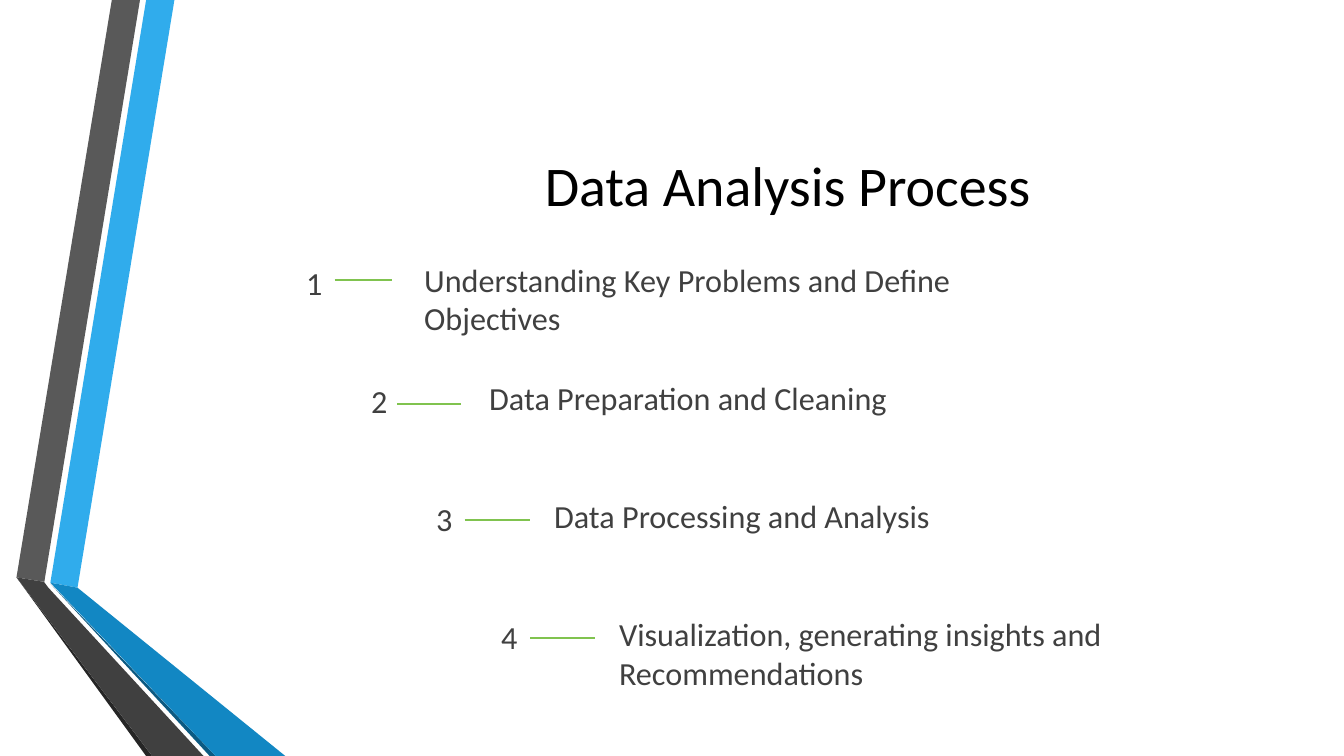
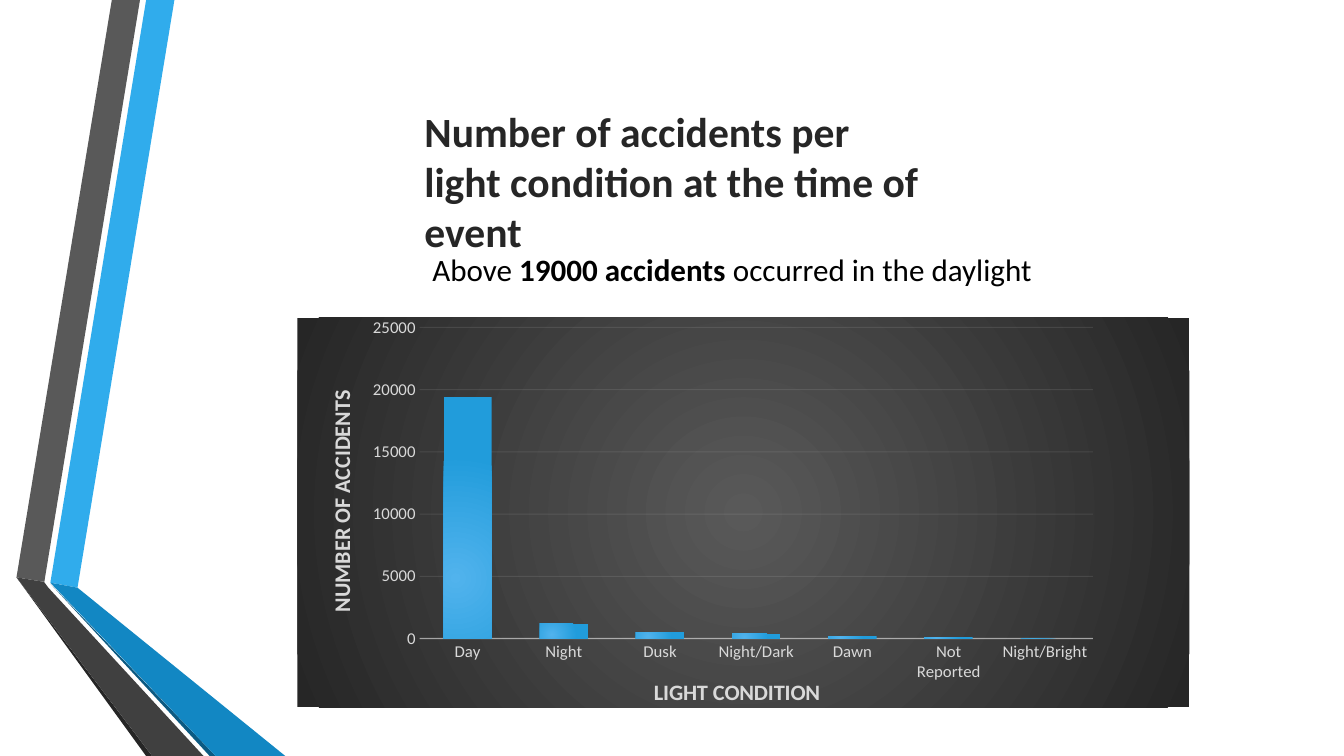
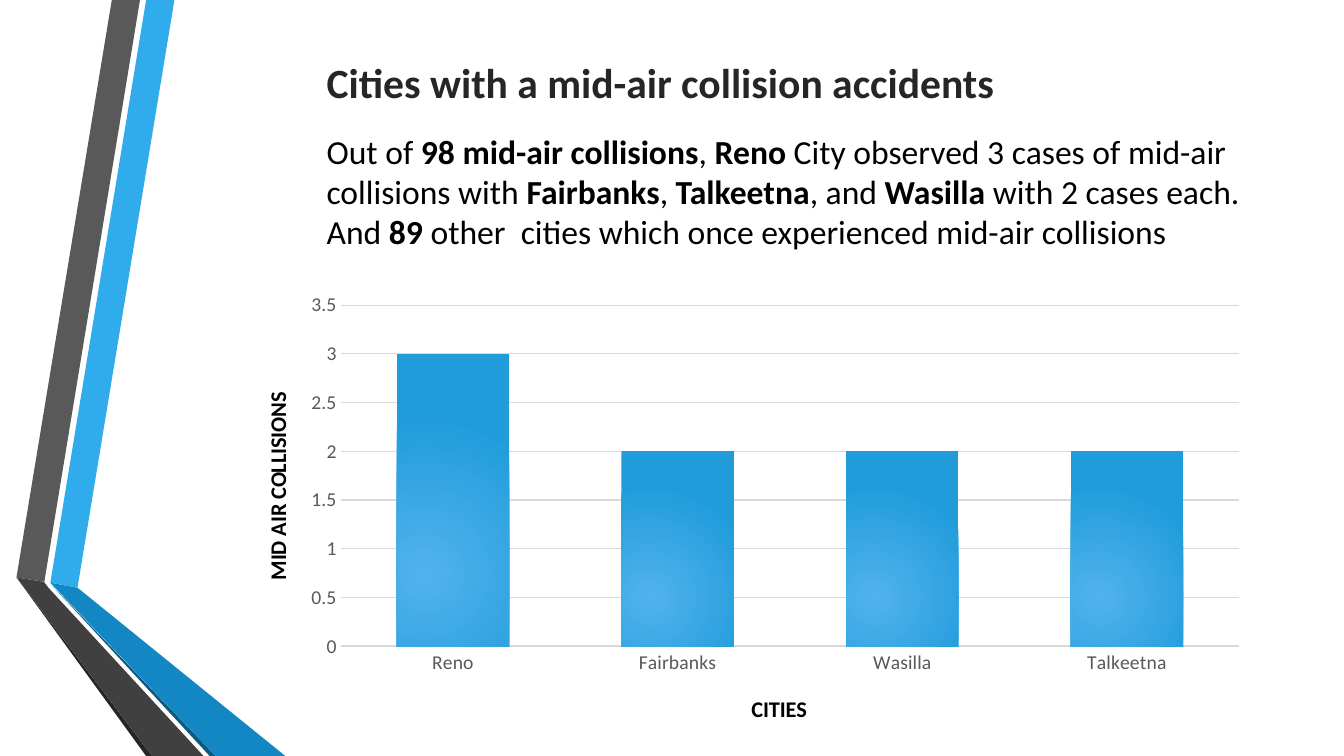
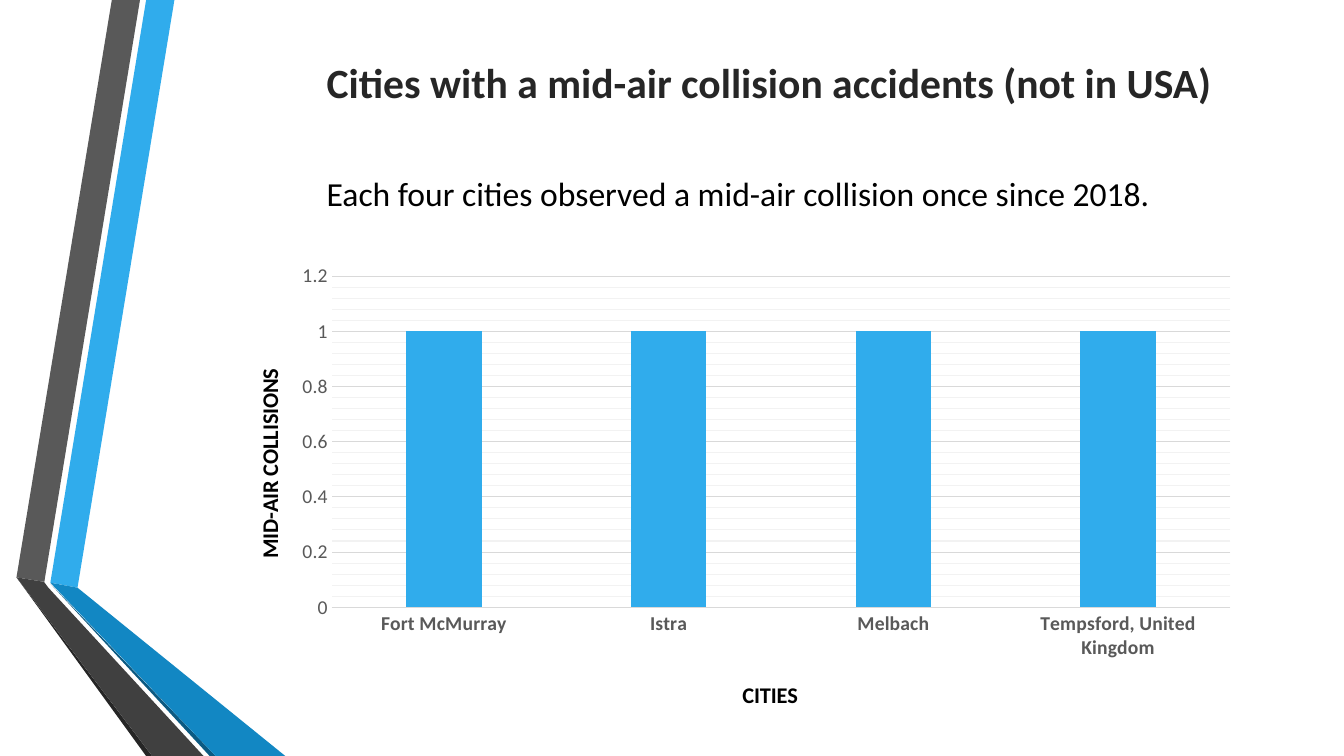
"""Build a four-slide deck on an accident data analysis."""
from dataclasses import dataclass
from typing import NamedTuple, Optional

from lxml import etree
from pptx import Presentation
from pptx.chart.data import CategoryChartData
from pptx.dml.color import RGBColor
from pptx.enum.chart import XL_CHART_TYPE, XL_TICK_MARK
from pptx.enum.shapes import MSO_CONNECTOR
from pptx.enum.text import MSO_ANCHOR, MSO_AUTO_SIZE, PP_ALIGN
from pptx.oxml import parse_xml
from pptx.oxml.ns import nsdecls, qn
from pptx.util import Pt

COLUMNS = XL_CHART_TYPE.COLUMN_CLUSTERED
NO_TICK = XL_TICK_MARK.NONE
STRAIGHT = MSO_CONNECTOR.STRAIGHT
TOP, MIDDLE = MSO_ANCHOR.TOP, MSO_ANCHOR.MIDDLE
LEFT, CENTER = PP_ALIGN.LEFT, PP_ALIGN.CENTER
NO_FIT = MSO_AUTO_SIZE.NONE
CONTENT_LAYOUT, TITLE_LAYOUT = 1, 5


@dataclass(frozen=True)
class Theme:
    """Colours, font and type sizes of the deck."""
    font: str = "Calibri"
    black: str = "000000"
    heading: str = "262626"
    text: str = "404040"
    tick: str = "595959"
    grid: str = "D9D9D9"
    minor_grid: str = "F2F2F2"
    green: str = "80C34F"
    blue: str = "30ACEC"
    deep_blue: str = "1287C3"
    night_blue: str = "0C5A82"
    bar_inner: str = "51B3ED"
    bar_outer: str = "219CDB"
    title_size: float = 40
    heading_size: float = 29.7
    body_size: float = 24
    note_size: float = 22.2
    step_size: float = 23
    axis_title_size: float = 16
    tick_size: float = 14
    small_tick_size: float = 12
    chart_size: float = 10


THEME = Theme()


class Box(NamedTuple):
    """Position and size in points."""
    left: float
    top: float
    width: float
    height: float


class Span(NamedTuple):
    """A stretch of text with one weight."""
    text: str
    bold: bool = False


class Style(NamedTuple):
    """Formatting of a paragraph."""
    size: float
    color: str
    align: PP_ALIGN = LEFT
    before: float = 0
    after: float = 0


class Ribbon(NamedTuple):
    """A filled outline of the side band."""
    color: str
    points: tuple


class Step(NamedTuple):
    """A process step with its dash."""
    text: str
    dash_start: float
    dash_end: float
    dash_top: float


class Gradient(NamedTuple):
    """A circular gradient with its focus in percent."""
    inner: str
    outer: str
    focus: tuple


class AxisTitle(NamedTuple):
    """An axis title with its place in percent of the chart."""
    text: str
    left: float
    top: float


@dataclass(frozen=True)
class ColumnChart:
    """Data and look of a column chart."""
    box: Box
    values: dict
    category_title: AxisTitle
    value_title: AxisTitle
    plot: tuple
    maximum: float
    unit: float
    gap: int = 100
    overlap: int = -24
    fill: Optional[Gradient] = Gradient(THEME.bar_inner, THEME.bar_outer, (50, 100, 100, 50))
    background: Optional[Gradient] = None
    title_color: str = THEME.black
    tick_color: str = THEME.tick
    tick_size: float = THEME.tick_size
    bold_categories: bool = False
    axis_color: str = THEME.grid
    axis_width: float = 1
    axis_alpha: int = 100
    grid_alpha: int = 100
    minor_unit: Optional[float] = None


@dataclass(frozen=True)
class ChartPage:
    """A heading, a remark and a chart."""
    heading: str
    heading_box: Box
    remark: tuple
    remark_box: Box
    remark_size: float
    chart: ColumnChart


RIBBONS = (
    Ribbon(THEME.blue, ((36, 416.2), (55.4, 419.8), (124.6, 0), (104.4, 0))),
    Ribbon(THEME.tick, ((100, 0), (79.9, 0), (11.8, 412.4), (31.7, 415.6))),
    Ribbon(THEME.heading, ((11.8, 412.4), (104.4, 540), (108.7, 540))),
    Ribbon(THEME.night_blue, ((36, 416.9), (149.8, 540), (154.1, 540))),
    Ribbon(THEME.deep_blue, ((36, 416.2), (154.1, 540), (203.8, 540), (55.4, 419.8))),
    Ribbon(THEME.text, ((145.4, 540), (34.6, 419.8), (31.4, 415.6), (11.8, 412.4), (108.7, 540))),
)

STEPS = (
    Step("Understanding Key Problems and Define Objectives", 239, 280.1, 200.2),
    Step("Data Preparation and Cleaning", 283.7, 329, 288.7),
    Step("Data Processing and Analysis", 331.9, 378.7, 371.5),
    Step("Visualization, generating insights and Recommendations", 378.7, 424.8, 455.8),
)

CITY_HEADING = Box(226.1, 37.4, 733.7, 69.1)

CHART_PAGES = (
    ChartPage(
        "Number of accidents per light condition at the time of event",
        Box(295.9, 72, 367.9, 120.2),
        (Span("Above "), Span("19000 accidents ", True), Span("occurred in the daylight")),
        Box(301.7, 175.7, 604.8, 33.1),
        THEME.note_size,
        ColumnChart(
            box=Box(212.4, 226.8, 637.2, 283),
            values={"Day": 19400, "Night": 1200, "Dusk": 500, "Night/Dark": 400,
                    "Dawn": 200, "Not Reported": 100, "Night/Bright": 0},
            category_title=AxisTitle("LIGHT CONDITION", 39.5, 91.4),
            value_title=AxisTitle("NUMBER OF ACCIDENTS", 2.8, 18.6),
            plot=(13.7, 2.5, 75.5, 79.9),
            maximum=25000,
            unit=5000,
            background=Gradient(THEME.tick, THEME.heading, (50, 50, 50, 50)),
            title_color=THEME.grid,
            tick_color=THEME.grid,
            tick_size=THEME.small_tick_size,
            axis_color=THEME.minor_grid,
            axis_alpha=54,
            grid_alpha=10,
        ),
    ),
    ChartPage(
        "Cities with a mid-air collision accidents",
        CITY_HEADING,
        (Span("Out of "), Span("98 mid-air collisions", True), Span(","), Span(" Reno ", True),
         Span("City observed 3 cases of mid-air collisions with "), Span("Fairbanks", True),
         Span(", "), Span("Talkeetna", True), Span(", and "), Span("Wasilla ", True),
         Span("with 2 cases each. And "), Span("89", True),
         Span(" other  cities which once experienced mid-air collisions")),
        Box(226.1, 85.7, 700.6, 101.5),
        THEME.body_size,
        ColumnChart(
            box=Box(167, 202.3, 733.7, 326.2),
            values={"Reno": 3, "Fairbanks": 2, "Wasilla": 2, "Talkeetna": 2},
            category_title=AxisTitle("CITIES", 50, 89.1),
            value_title=AxisTitle("MID AIR COLLISIONS", 2.4, 23),
            plot=(10.4, 4.8, 87.5, 74.7),
            maximum=3.5,
            unit=0.5,
        ),
    ),
    ChartPage(
        "Cities with a mid-air collision accidents (not in USA)",
        CITY_HEADING,
        (Span("Each four cities observed a mid-air collision once since 2018."),),
        Box(226.1, 103, 677.5, 69.1),
        THEME.body_size,
        ColumnChart(
            box=Box(160.6, 181.4, 733.7, 337),
            values={"Fort McMurray": 1, "Istra": 1, "Melbach": 1, "Tempsford, United Kingdom": 1},
            category_title=AxisTitle("CITIES", 50, 89.5),
            value_title=AxisTitle("MID-AIR COLLISIONS", 2.5, 23.5),
            plot=(10.4, 4.7, 87.5, 70.2),
            maximum=1.2,
            unit=0.2,
            gap=199,
            overlap=0,
            fill=None,
            bold_categories=True,
            axis_width=0.75,
            minor_unit=0.04,
        ),
    ),
)


def rgb(color: str) -> RGBColor:
    """Return the colour object of a hex value."""
    return RGBColor.from_string(color)


def lengths(box: Box) -> list:
    """Return the four lengths of a box."""
    return [Pt(value) for value in box]


def set_font(font, size: float, color: str, bold: bool = False) -> None:
    """Set face, size, colour and weight."""
    font.name = THEME.font
    font.size = Pt(size)
    font.bold = bold
    font.color.rgb = rgb(color)


def write(frame, spans: tuple, style: Style, anchor: MSO_ANCHOR = TOP) -> None:
    """Write one paragraph, run by run."""
    frame.word_wrap = True
    frame.auto_size = NO_FIT
    frame.vertical_anchor = anchor
    para = frame.paragraphs[0]
    para.alignment = style.align
    para.space_before = Pt(style.before)
    para.space_after = Pt(style.after)
    for span in spans:
        run = para.add_run()
        run.text = span.text
        set_font(run.font, style.size, style.color, span.bold)


def move(shape, box: Box) -> None:
    """Place a placeholder."""
    shape.left, shape.top, shape.width, shape.height = lengths(box)


def remove_bullets(shape) -> None:
    """Make the paragraphs of a placeholder plain and flush."""
    for properties in shape.element.iter(qn("a:pPr")):
        properties.set("marL", "0")
        properties.set("indent", "0")
        etree.SubElement(properties, qn("a:buNone"))


def add_text(page, box: Box, text: str) -> None:
    """Add a text box of the process list."""
    shape = page.shapes.add_textbox(*lengths(box))
    write(shape.text_frame, (Span(text),), Style(THEME.step_size, THEME.text, before=10))


def add_dash(page, step: Step) -> None:
    """Draw the dash between a number and its step."""
    top = Pt(step.dash_top)
    dash = page.shapes.add_connector(STRAIGHT, Pt(step.dash_start), top, Pt(step.dash_end), top)
    dash.line.color.rgb = rgb(THEME.green)
    dash.line.width = Pt(1.75)
    etree.SubElement(dash.element.spPr, qn("a:effectLst"))


def add_band(deck, page) -> None:
    """Draw the side band and hand it to the slide master."""
    group = page.shapes.add_group_shape()
    for ribbon in RIBBONS:
        start, *others = [(Pt(x), Pt(y)) for x, y in ribbon.points]
        builder = group.shapes.build_freeform(*start)
        builder.add_line_segments(others, close=True)
        shape = builder.convert_to_shape()
        shape.shadow.inherit = False
        shape.fill.solid()
        shape.fill.fore_color.rgb = rgb(ribbon.color)
        shape.line.fill.background()
    for number, properties in enumerate(group.element.iter(qn("p:cNvPr")), start=100):
        properties.set("id", str(number))
    deck.slide_master.placeholders[0].element.addprevious(group.element)


def gradient_fill(gradient: Gradient):
    """Return a circular gradient fill."""
    left, top, right, bottom = [value * 1000 for value in gradient.focus]
    return parse_xml(
        f'<a:gradFill {nsdecls("a")} rotWithShape="1"><a:gsLst>'
        f'<a:gs pos="0"><a:srgbClr val="{gradient.inner}"/></a:gs>'
        f'<a:gs pos="100000"><a:srgbClr val="{gradient.outer}"/></a:gs></a:gsLst>'
        f'<a:path path="circle"><a:fillToRect l="{left}" t="{top}" r="{right}" b="{bottom}"/>'
        '</a:path></a:gradFill>')


def set_layout(parent, place: tuple, inner: bool = False) -> None:
    """Give a chart part a fixed place in percent."""
    target = '<c:layoutTarget val="inner"/>' if inner else ""
    modes = '<c:xMode val="edge"/><c:yMode val="edge"/>'
    values = "".join(f'<c:{key} val="{value / 100:.3f}"/>' for key, value in zip("xywh", place))
    current = parent.find(qn("c:layout"))
    if current is not None:
        parent.remove(current)
    index = 0 if parent.find(qn("c:tx")) is None else 1
    parent.insert(index, parse_xml(
        f'<c:layout {nsdecls("c")}><c:manualLayout>{target}{modes}{values}'
        '</c:manualLayout></c:layout>'))


def set_line(chart_format, color: str, width: float, alpha: int) -> None:
    """Style an axis or grid line."""
    chart_format.line.color.rgb = rgb(color)
    chart_format.line.width = Pt(width)
    if alpha < 100:
        for node in chart_format.element.xpath("c:spPr/a:ln//a:srgbClr"):
            etree.SubElement(node, qn("a:alpha")).set("val", str(alpha * 1000))


def set_axis_title(axis, title: AxisTitle, color: str, upright: bool) -> None:
    """Write and place an axis title."""
    run = axis.axis_title.text_frame.paragraphs[0].add_run()
    run.text = title.text
    set_font(run.font, THEME.axis_title_size, color, True)
    element = axis.axis_title.format.element
    if upright:
        for properties in element.iter(qn("a:bodyPr")):
            properties.set("rot", "-5400000")
            properties.set("vert", "horz")
    set_layout(element, (title.left, title.top))


def style_value_axis(axis, look: ColumnChart) -> None:
    """Set scale and grid of the value axis."""
    axis.minimum_scale = 0
    axis.maximum_scale = look.maximum
    axis.major_unit = look.unit
    axis.format.line.fill.background()
    axis.has_major_gridlines = True
    set_line(axis.major_gridlines.format, look.axis_color, 0.75, look.grid_alpha)
    if look.minor_unit:
        axis.minor_unit = look.minor_unit
        axis.has_minor_gridlines = True
        axis.format.element.find(qn("c:minorGridlines")).append(parse_xml(
            f'<c:spPr {nsdecls("c", "a")}><a:ln w="9525"><a:solidFill>'
            f'<a:srgbClr val="{THEME.minor_grid}"/></a:solidFill></a:ln></c:spPr>'))


def add_columns(page, look: ColumnChart) -> None:
    """Add a column chart."""
    data = CategoryChartData()
    data.categories = list(look.values)
    data.add_series("Series 1", list(look.values.values()))
    chart = page.shapes.add_chart(COLUMNS, *lengths(look.box), data).chart
    chart.has_title = False
    chart.has_legend = False
    set_font(chart.font, THEME.chart_size, THEME.black)

    plot = chart.plots[0]
    plot.vary_by_categories = False
    plot.gap_width = look.gap
    plot.overlap = look.overlap
    series_format = plot.series[0].format
    series_format.fill.solid()
    series_format.fill.fore_color.rgb = rgb(THEME.blue)
    if look.fill:
        solid = series_format.element.find(qn("c:spPr")).find(qn("a:solidFill"))
        solid.getparent().replace(solid, gradient_fill(look.fill))

    set_line(chart.category_axis.format, look.axis_color, look.axis_width, look.axis_alpha)
    style_value_axis(chart.value_axis, look)
    for axis, title, bold, upright in (
        (chart.category_axis, look.category_title, look.bold_categories, False),
        (chart.value_axis, look.value_title, False, True),
    ):
        axis.major_tick_mark = NO_TICK
        axis.minor_tick_mark = NO_TICK
        set_font(axis.tick_labels.font, look.tick_size, look.tick_color, bold)
        set_axis_title(axis, title, look.title_color, upright)

    body = chart.element.find(qn("c:chart"))
    set_layout(body.find(qn("c:plotArea")), look.plot, inner=True)
    if look.background:
        properties = parse_xml(
            f'<c:spPr {nsdecls("c", "a")}><a:ln><a:noFill/></a:ln></c:spPr>')
        properties.insert(0, gradient_fill(look.background))
        body.addnext(properties)


def add_process_page(deck):
    """Add the slide with the four staggered steps."""
    page = deck.slides.add_slide(deck.slide_layouts[TITLE_LAYOUT])
    title = page.shapes.title
    move(title, Box(211.7, 100.1, 702, 63.4))
    write(title.text_frame, (Span("Data Analysis Process"),),
          Style(THEME.title_size, THEME.black, CENTER), MIDDLE)
    for index, step in enumerate(STEPS):
        across, down = 46.4 * index, 84.4 * index
        add_text(page, Box(211.7 + across, 184.3 + down, 168.5, 40.3), str(index + 1))
        add_text(page, Box(295.9 + across, 182.2 + down, 401.8, 79.9), step.text)
        add_dash(page, step)
    return page


def add_chart_page(deck, content: ChartPage) -> None:
    """Add a slide with heading, remark and chart."""
    page = deck.slides.add_slide(deck.slide_layouts[CONTENT_LAYOUT])
    title, remark = page.shapes.title, page.placeholders[1]
    move(title, content.heading_box)
    write(title.text_frame, (Span(content.heading, True),),
          Style(THEME.heading_size, THEME.heading))
    move(remark, content.remark_box)
    write(remark.text_frame, content.remark,
          Style(content.remark_size, THEME.black, before=4.8, after=6), MIDDLE)
    remove_bullets(remark)
    add_columns(page, content.chart)


def main() -> None:
    """Build and save the deck."""
    deck = Presentation()
    deck.slide_width, deck.slide_height = Pt(960), Pt(540)
    add_band(deck, add_process_page(deck))
    for content in CHART_PAGES:
        add_chart_page(deck, content)
    deck.save("out.pptx")


if __name__ == "__main__":
    main()
